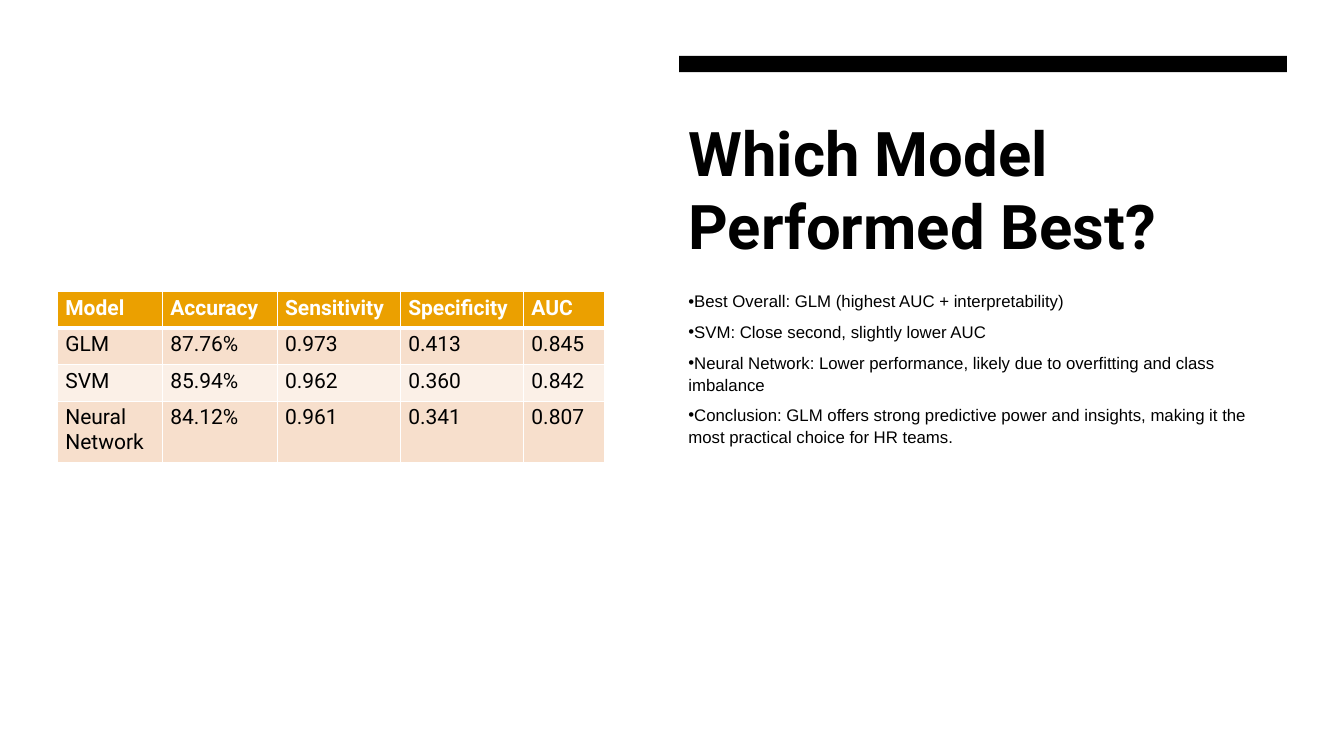
"""Build the model comparison slide with a results table and conclusions."""
from dataclasses import dataclass

from lxml import etree
from pptx import Presentation
from pptx.dml.color import RGBColor
from pptx.enum.shapes import MSO_SHAPE
from pptx.enum.text import MSO_ANCHOR
from pptx.oxml.ns import qn
from pptx.util import Pt

RECTANGLE = MSO_SHAPE.RECTANGLE
TOP, MIDDLE = MSO_ANCHOR.TOP, MSO_ANCHOR.MIDDLE
BLACK, WHITE = "000000", "FFFFFF"
HEADER_FILL = "EBA000"
BAND_FILLS = ("F7DFCC", "FBF0E7")


@dataclass(frozen=True)
class Style:
    font: str
    size: float
    color: str = BLACK
    bold: bool = False


@dataclass(frozen=True)
class TextBlock:
    left: float
    top: float
    width: float
    height: float
    lines: tuple[str, ...]
    style: Style
    anchor: int = TOP
    bulleted: bool = False


HEADER_STYLE = Style("Roboto", 15, WHITE, True)
RESULT_STYLE = Style("Roboto", 15)

QUESTION = TextBlock(
    484.6, 77, 434, 115.2, ("Which Model Performed Best?",),
    Style("Roboto", 44, bold=True), MIDDLE,
)
FINDINGS = TextBlock(
    484.6, 203, 434, 296.6,
    (
        "Best Overall: GLM (highest AUC + interpretability)",
        "SVM: Close second, slightly lower AUC",
        "Neural Network: Lower performance, likely due to overfitting and class imbalance",
        "Conclusion: GLM offers strong predictive power and insights, "
        "making it the most practical choice for HR teams.",
    ),
    Style("Arial", 12), bulleted=True,
)
RESULTS = (
    ("Model", "Accuracy", "Sensitivity", "Specificity", "AUC"),
    ("GLM", "87.76%", "0.973", "0.413", "0.845"),
    ("SVM", "85.94%", "0.962", "0.360", "0.842"),
    ("Neural Network", "84.12%", "0.961", "0.341", "0.807"),
)
COLUMN_WIDTHS = (75, 82, 88, 88, 57.5)
ROW_HEIGHTS = (26.1, 26.1, 26.1, 43.9)


def rgb(color: str) -> RGBColor:
    return RGBColor.from_string(color)


def paint(target, color: str) -> None:
    target.fill.solid()
    target.fill.fore_color.rgb = rgb(color)


def format_runs(paragraph, style: Style) -> None:
    for run in paragraph.runs:
        run.font.name = style.font
        run.font.size = Pt(style.size)
        run.font.bold = style.bold
        run.font.color.rgb = rgb(style.color)


def add_bullet(paragraph) -> None:
    paragraph.line_spacing = 1.1
    paragraph.space_after = Pt(6)
    properties = paragraph._p.get_or_add_pPr()
    properties.set("marL", "0")
    properties.set("indent", str(-Pt(18)))
    etree.SubElement(properties, qn("a:buFont"), typeface="Arial")
    etree.SubElement(properties, qn("a:buChar"), char="•")


def add_text(slide, block: TextBlock) -> None:
    box = slide.shapes.add_textbox(
        Pt(block.left), Pt(block.top), Pt(block.width), Pt(block.height)
    )
    frame = box.text_frame
    frame.word_wrap = True
    frame.vertical_anchor = block.anchor
    frame.text = "\n".join(block.lines)
    for paragraph in frame.paragraphs:
        format_runs(paragraph, block.style)
        if block.bulleted:
            add_bullet(paragraph)


def add_border(cell, side: str, width: float) -> None:
    line = etree.SubElement(
        cell._tc.get_or_add_tcPr(), qn(f"a:ln{side}"), w=str(Pt(width))
    )
    fill = etree.SubElement(line, qn("a:solidFill"))
    etree.SubElement(fill, qn("a:srgbClr"), val=WHITE)


def format_cell(cell, row: int, text: str) -> None:
    cell.margin_left = cell.margin_right = Pt(5.5)
    cell.margin_top = cell.margin_bottom = Pt(2.75)
    cell.text_frame.text = text
    style = RESULT_STYLE if row else HEADER_STYLE
    format_runs(cell.text_frame.paragraphs[0], style)
    for side in "LRTB":
        below_header = (row, side) in ((0, "B"), (1, "T"))
        add_border(cell, side, 3 if below_header else 1)
    paint(cell, BAND_FILLS[(row - 1) % 2] if row else HEADER_FILL)


def add_results(slide) -> None:
    table = slide.shapes.add_table(
        len(RESULTS), len(COLUMN_WIDTHS), Pt(41.2), Pt(208.4),
        Pt(sum(COLUMN_WIDTHS)), Pt(sum(ROW_HEIGHTS)),
    ).table
    for column, width in zip(table.columns, COLUMN_WIDTHS):
        column.width = Pt(width)
    for row, (values, height) in enumerate(zip(RESULTS, ROW_HEIGHTS)):
        table.rows[row].height = Pt(height)
        for column, value in enumerate(values):
            format_cell(table.cell(row, column), row, value)


def add_accent_bar(slide) -> None:
    bar = slide.shapes.add_shape(RECTANGLE, Pt(485), Pt(40), Pt(434.3), Pt(11.5))
    bar.shadow.inherit = False
    paint(bar, BLACK)
    bar.line.fill.background()


def main() -> None:
    presentation = Presentation()
    presentation.slide_width, presentation.slide_height = Pt(960), Pt(540)
    slide = presentation.slides.add_slide(presentation.slide_layouts[6])
    paint(slide.background, WHITE)
    add_text(slide, QUESTION)
    add_accent_bar(slide)
    add_text(slide, FINDINGS)
    add_results(slide)
    presentation.save("out.pptx")


if __name__ == "__main__":
    main()
